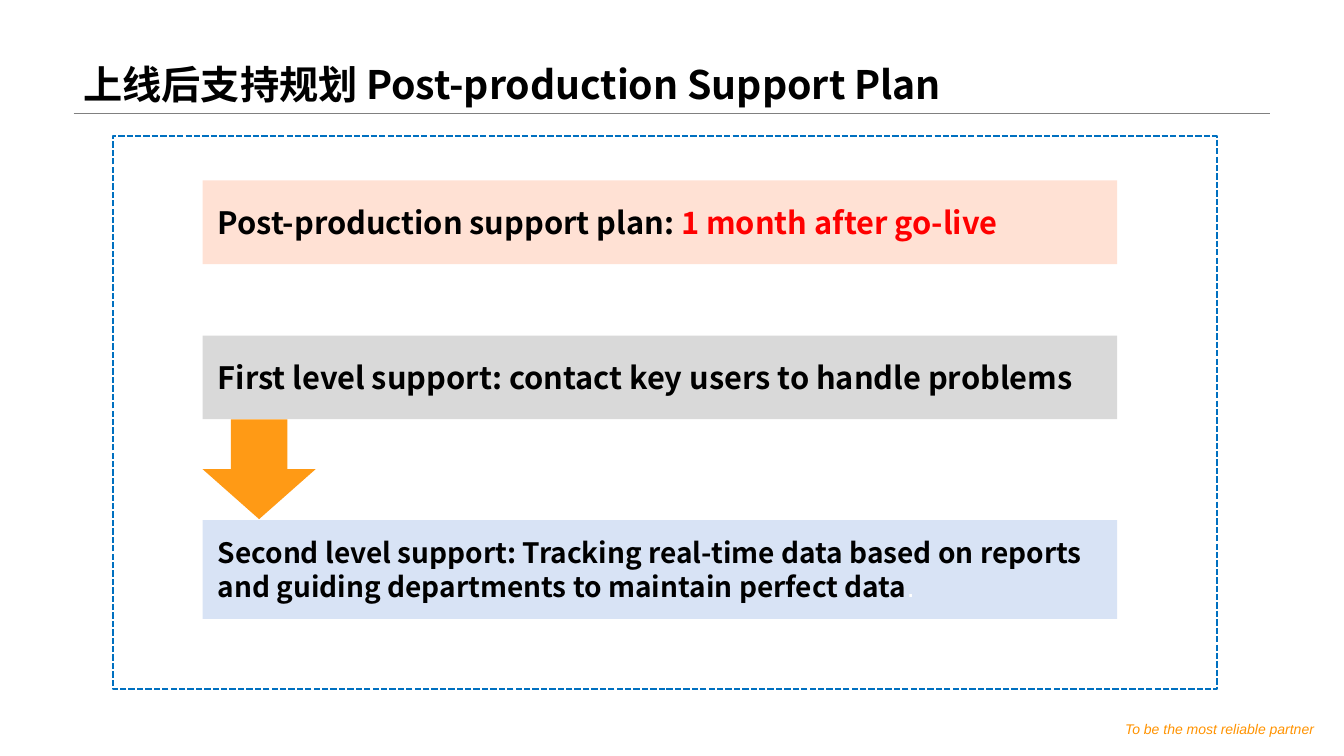
from dataclasses import dataclass
from typing import Optional

from lxml.etree import SubElement
from pptx import Presentation
from pptx.dml.color import RGBColor
from pptx.enum.dml import MSO_LINE as Dash
from pptx.enum.shapes import MSO_CONNECTOR as Link, MSO_SHAPE as Form
from pptx.enum.text import MSO_ANCHOR as Anchor, PP_ALIGN as Align
from pptx.oxml.ns import qn
from pptx.util import Inches, Pt

BLACK = RGBColor(0x00, 0x00, 0x00)
WHITE = RGBColor(0xFF, 0xFF, 0xFF)
RED = RGBColor(0xFF, 0x00, 0x00)
GRAY = RGBColor(0x80, 0x80, 0x80)
BLUE = RGBColor(0x00, 0x70, 0xC0)
AMBER = RGBColor(0xFF, 0x93, 0x00)
ORANGE = RGBColor(0xFF, 0x9A, 0x15)
PEACH = RGBColor(0xFF, 0xE1, 0xD4)
SILVER = RGBColor(0xD9, 0xD9, 0xD9)
SKY = RGBColor(0xD8, 0xE3, 0xF5)
SANS = "Noto Sans CJK SC"
ARIAL = "Arial"
LEFT, WIDTH = 2.01, 9.07


@dataclass(frozen=True)
class Run:
    text: str
    size: float
    color: RGBColor = BLACK
    font: str = SANS
    bold: bool = True
    slant: bool = False


@dataclass(frozen=True)
class Band:
    top: float
    height: float
    fill: RGBColor
    runs: tuple[Run, ...]


BANDS = (
    Band(1.79, 0.83, PEACH, (
        Run("Post-production support plan: ", 22),
        Run("1 month after go-live", 22, RED),
    )),
    Band(3.33, 0.83, SILVER, (
        Run("First level support: contact key users to handle problems", 22),
    )),
    Band(5.16, 0.98, SKY, (
        Run("Second level support: Tracking real-time data based on reports "
            "and guiding departments to maintain perfect data", 20),
        Run(".", 20, WHITE, ARIAL, False),
    )),
)


def write(frame, runs: tuple[Run, ...], align: Align = Align.LEFT):
    para = frame.paragraphs[0]
    para.alignment = align
    for item in runs:
        run = para.add_run()
        run.text = item.text
        font = run.font
        font.size = Pt(item.size)
        font.bold = item.bold
        font.italic = item.slant
        font.color.rgb = item.color
        font.name = item.font
        SubElement(run._r.get_or_add_rPr(), qn("a:ea"), typeface=item.font)
    return para


def pad(frame, side: float, edge: float) -> None:
    frame.margin_left = frame.margin_right = Inches(side)
    frame.margin_top = frame.margin_bottom = Inches(edge)


def add_form(slide, form: Form, left: float, top: float, width: float,
             height: float, fill: Optional[RGBColor] = None):
    shape = slide.shapes.add_shape(
        form, Inches(left), Inches(top), Inches(width), Inches(height))
    shape.shadow.inherit = False
    if fill is None:
        shape.fill.background()
    else:
        shape.fill.solid()
        shape.fill.fore_color.rgb = fill
    shape.line.fill.background()
    return shape


def add_band(slide, band: Band) -> None:
    shape = add_form(slide, Form.RECTANGLE, LEFT, band.top, WIDTH,
                     band.height, band.fill)
    frame = shape.text_frame
    frame.word_wrap = True
    frame.vertical_anchor = Anchor.MIDDLE
    pad(frame, 0.15, 0.07)
    write(frame, band.runs)


def add_title(slide) -> None:
    box = slide.shapes.add_textbox(
        Inches(0.73), Inches(0), Inches(11.87), Inches(1.12))
    frame = box.text_frame
    frame.word_wrap = True
    frame.vertical_anchor = Anchor.BOTTOM
    para = write(frame, (Run("上线后支持规划 Post-production Support Plan", 28),))
    para.line_spacing = 0.9


def add_rule(slide) -> None:
    rule = slide.shapes.add_connector(
        Link.STRAIGHT, Inches(0.73), Inches(1.12), Inches(12.6), Inches(1.12))
    rule.line.color.rgb = GRAY
    rule.line.width = Pt(0.25)
    SubElement(rule._element.spPr, qn("a:effectLst"))


def add_motto(slide) -> None:
    box = slide.shapes.add_textbox(
        Inches(11.08), Inches(7.08), Inches(2.03), Inches(0.3))
    frame = box.text_frame
    frame.word_wrap = False
    pad(frame, 0.07, 0.07)
    motto = Run("To be the most reliable partner", 10, AMBER, ARIAL, False, True)
    write(frame, (motto,), Align.CENTER)


def add_border(slide) -> None:
    line = add_form(slide, Form.RECTANGLE, 1.12, 1.35, 10.95, 5.49).line
    line.color.rgb = BLUE
    line.width = Pt(1.5)
    line.dash_style = Dash.SQUARE_DOT


def main() -> None:
    deck = Presentation()
    deck.slide_width, deck.slide_height = Inches(13.33), Inches(7.5)
    slide = deck.slides.add_slide(deck.slide_layouts[6])
    add_rule(slide)
    add_motto(slide)
    add_border(slide)
    add_title(slide)
    for band in BANDS:
        add_band(slide, band)
    add_form(slide, Form.DOWN_ARROW, LEFT, 4.16, 1.12, 0.99, ORANGE)
    deck.save("out.pptx")


if __name__ == "__main__":
    main()
